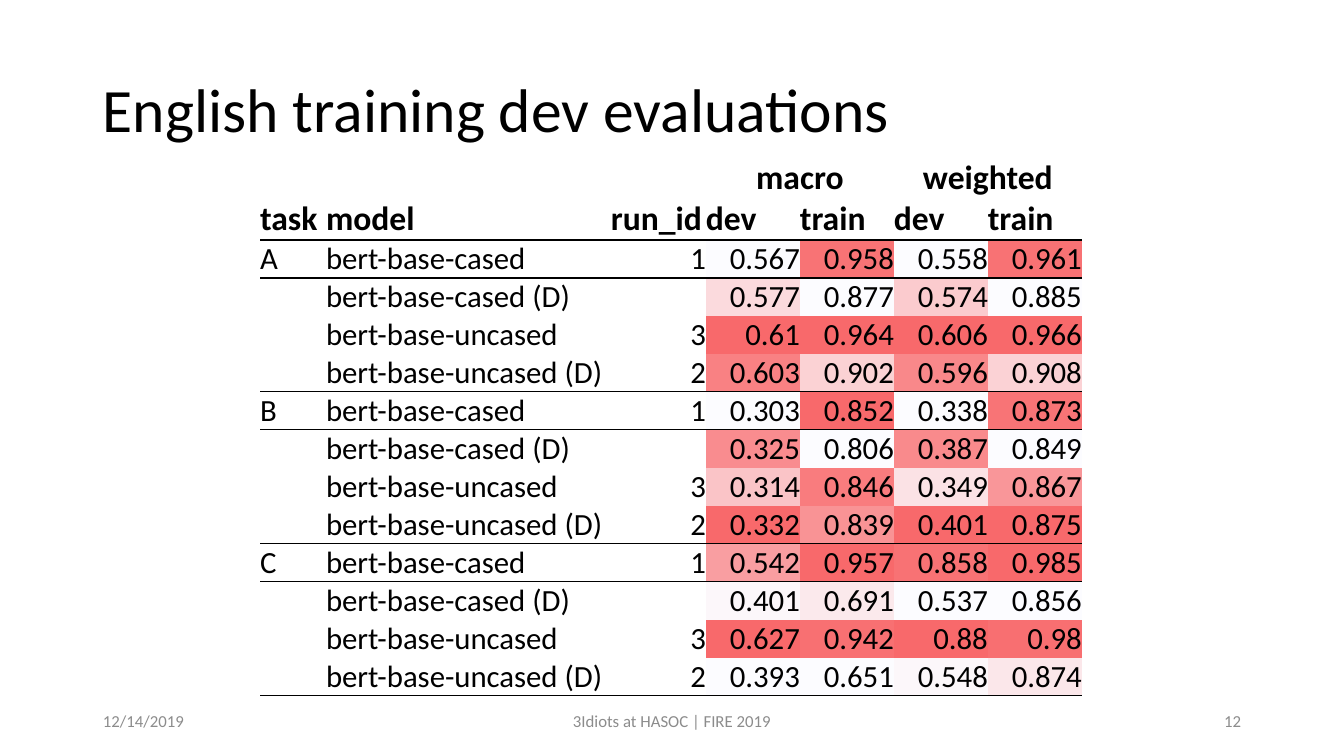
from lxml.etree import SubElement
from pptx import Presentation
from pptx.dml.color import RGBColor
from pptx.enum.text import MSO_ANCHOR, PP_ALIGN
from pptx.oxml import parse_xml
from pptx.oxml.ns import nsdecls
from pptx.util import Pt

TITLE = "English training dev evaluations"
FOOTER = [
    ("12/14/2019", 93, 302, PP_ALIGN.LEFT),
    ("3Idiots at HASOC | FIRE 2019", 445, 454, PP_ALIGN.CENTER),
    ("12", 949, 302, PP_ALIGN.RIGHT),
]
GROUPS = [("macro", 3), ("weighted", 5)]
HEADS = ["task", "model", "run_id", "dev", "train", "dev", "train"]
MODELS = [
    ("bert-base-cased", "1"),
    ("bert-base-cased (D)", ""),
    ("bert-base-uncased", "3"),
    ("bert-base-uncased (D)", "2"),
]
SCORES = {
    "A": [
        (0.567, 0.958, 0.558, 0.961),
        (0.577, 0.877, 0.574, 0.885),
        (0.61, 0.964, 0.606, 0.966),
        (0.603, 0.902, 0.596, 0.908),
    ],
    "B": [
        (0.303, 0.852, 0.338, 0.873),
        (0.325, 0.806, 0.387, 0.849),
        (0.314, 0.846, 0.349, 0.867),
        (0.332, 0.839, 0.401, 0.875),
    ],
    "C": [
        (0.542, 0.957, 0.858, 0.985),
        (0.401, 0.691, 0.537, 0.856),
        (0.627, 0.942, 0.88, 0.98),
        (0.393, 0.651, 0.548, 0.874),
    ],
}

FONT = "Calibri"
BLACK = RGBColor(0, 0, 0)
GRAY = RGBColor(0x8C, 0x8C, 0x8C)
LOW = RGBColor(0xFC, 0xFC, 0xFF)
HIGH = RGBColor(0xF8, 0x69, 0x6B)
PLAIN = "{2D5ABB26-0587-4C30-8999-92F81FD0307C}"

WIDTHS = [66, 285, 95] + [94] * 4
HEAD_H, ROW_H = 41, 38
LEFT, TOP = 260, 158


def px(n):
    return round(n * 914400 / 100.8)


def write(frame, text, size, color, align=PP_ALIGN.LEFT, bold=False):
    para = frame.paragraphs[0]
    para.alignment = align
    run = para.add_run()
    run.text = text
    font = run.font
    font.name, font.size, font.bold = FONT, Pt(size), bold
    font.color.rgb = color
    return para


def label(slide, text, box, size, color, align=PP_ALIGN.LEFT):
    frame = slide.shapes.add_textbox(*map(px, box)).text_frame
    frame.word_wrap = True
    frame.vertical_anchor = MSO_ANCHOR.MIDDLE
    return write(frame, text, size, color, align)


def shade(value, column):
    low, high = min(column), max(column)
    part = (value - low) / (high - low)
    return RGBColor(*(round(a + (b - a) * part) for a, b in zip(LOW, HIGH)))


def rule(cell, side):
    line = parse_xml(
        f'<a:{side} {nsdecls("a")} w="12700"><a:solidFill>'
        f'<a:srgbClr val="{BLACK}"/></a:solidFill></a:{side}>'
    )
    cell._tc.get_or_add_tcPr().insert(0, line)


def make_grid(slide):
    count = len(SCORES) * len(MODELS)
    heights = [HEAD_H] * 2 + [ROW_H] * count
    box = (LEFT, TOP, sum(WIDTHS), sum(heights))
    grid = slide.shapes.add_table(
        len(heights), len(WIDTHS), *map(px, box)).table
    grid.first_row = grid.horz_banding = False
    grid._tbl.tblPr[0].text = PLAIN
    for col, width in zip(grid.columns, WIDTHS):
        col.width = px(width)
    for row, height in zip(grid.rows, heights):
        row.height = px(height)
    for cell in grid.iter_cells():
        cell.margin_left = cell.margin_right = 0
        cell.margin_top = cell.margin_bottom = 0
        cell.vertical_anchor = MSO_ANCHOR.BOTTOM
        cell.fill.background()
    return grid


def fill_grid(grid):
    for name, col in GROUPS:
        cell = grid.cell(0, col)
        cell.merge(grid.cell(0, col + 1))
        write(cell.text_frame, name, 24, BLACK, PP_ALIGN.CENTER, True)
    for col, name in enumerate(HEADS):
        write(grid.cell(1, col).text_frame, name, 24, BLACK, bold=True)
    row = 2
    for task, block in SCORES.items():
        columns = list(zip(*block))
        for step, ((model, run_id), scores) in enumerate(zip(MODELS, block)):
            texts = [task if step == 0 else "", model, run_id, *map(str, scores)]
            for col, text in enumerate(texts):
                align = PP_ALIGN.RIGHT if col > 1 else PP_ALIGN.LEFT
                if text:
                    write(grid.cell(row, col).text_frame, text, 22, BLACK, align)
            for col, value in enumerate(scores):
                fill = grid.cell(row, col + 3).fill
                fill.solid()
                fill.fore_color.rgb = shade(value, columns[col])
            row += 1


def rule_grid(grid):
    last = len(grid.rows) - 1
    for row in range(1, last + 1, len(MODELS)):
        for col in range(len(WIDTHS)):
            rule(grid.cell(row, col), "lnB")
            if row < last:
                rule(grid.cell(row + 1, col), "lnT")


def main():
    deck = Presentation()
    deck.slide_width, deck.slide_height = px(1344), px(756)
    slide = deck.slides.add_slide(deck.slide_layouts[6])
    title = label(slide, TITLE, (93, 40, 1159, 146), 44, BLACK)
    title.line_spacing = 0.9
    for text, left, width, align in FOOTER:
        label(slide, text, (left, 701, width, 40), 12, GRAY, align)
    grid = make_grid(slide)
    fill_grid(grid)
    rule_grid(grid)
    deck.save("out.pptx")


if __name__ == "__main__":
    main()
